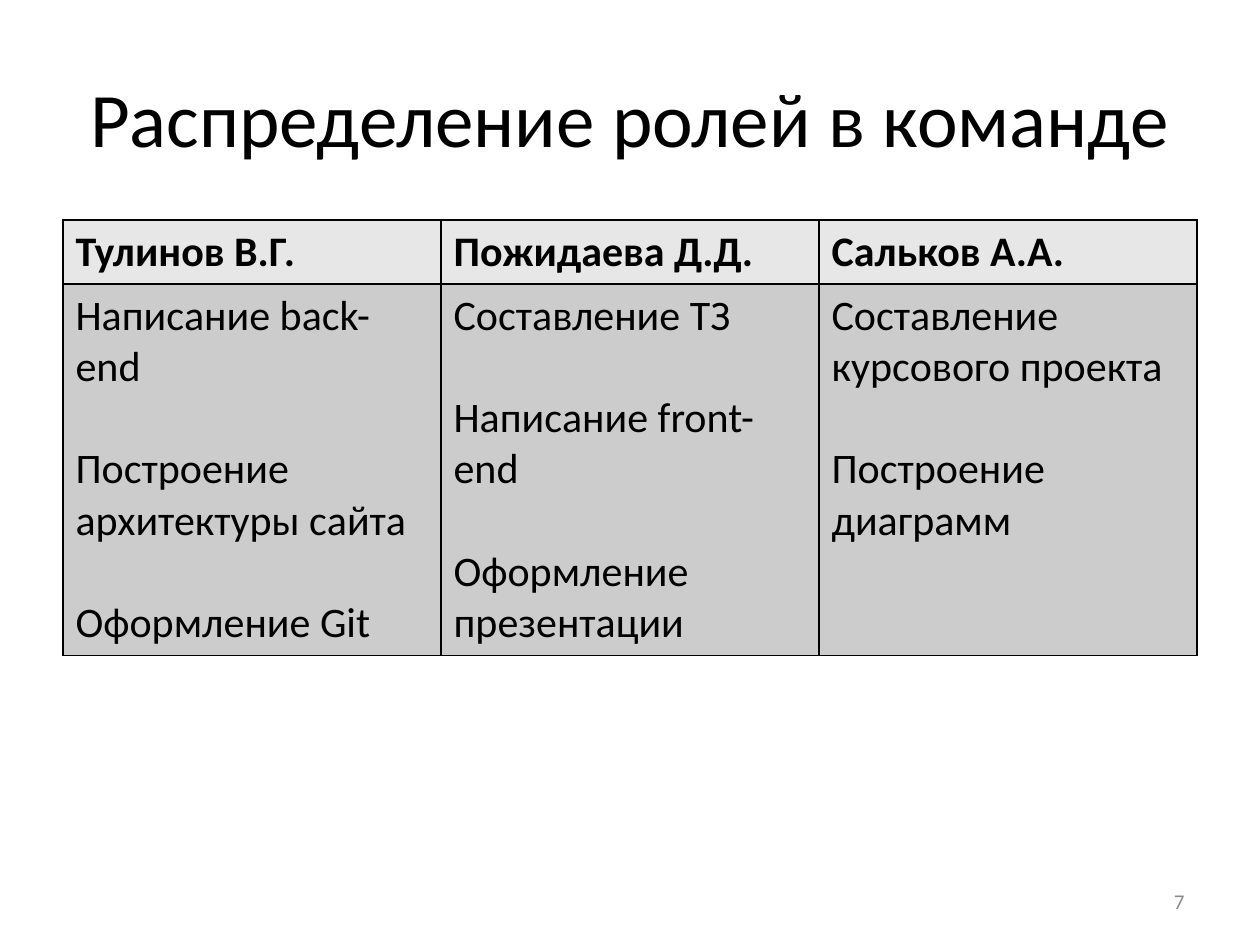
from lxml.etree import SubElement as Sub
from pptx import Presentation
from pptx.dml.color import RGBColor as RGB
from pptx.enum.text import MSO_ANCHOR as Anchor, PP_ALIGN as Align
from pptx.oxml.ns import qn
from pptx.util import Pt

PX = 914400 / 126  # EMU in one px
FONT = "Calibri"
COLORS = {"ink": "000000", "page": "8C8C8C", "head": "E7E7E7", "body": "CCCCCC"}
ROLES = {
    "Тулинов В.Г.": ["Написание back-end", "Построение архитектуры сайта",
                     "Оформление Git"],
    "Пожидаева Д.Д.": ["Составление ТЗ", "Написание front-end",
                       "Оформление презентации"],
    "Сальков А.А.": ["Составление курсового проекта", "Построение диаграмм"],
}


def emu(*sizes):
    return [round(n * PX) for n in sizes]


def write(frame, lines, size=24, bold=False, color="ink", align=Align.LEFT, gap=0):
    frame.word_wrap = True
    for i, line in enumerate(lines):
        par = frame.add_paragraph() if i else frame.paragraphs[0]
        par.alignment = align
        par.space_before = Pt(gap if i else 0)
        run = par.add_run()
        run.text = line
        font = run.font
        font.name, font.size, font.bold = FONT, Pt(size), bold
        font.color.rgb = RGB.from_string(COLORS[color])


def border(cell):
    props = cell._tc.get_or_add_tcPr()
    for i, side in enumerate(("lnL", "lnR", "lnT", "lnB")):
        line = Sub(props, qn(f"a:{side}"), w=str(Pt(1)))
        fill = Sub(line, qn("a:solidFill"))
        Sub(fill, qn("a:srgbClr"), val=COLORS["ink"])
        props.remove(line)
        props.insert(i, line)  # borders come before the fill


def add_title(slide, box, text):
    title = slide.shapes.title
    title.left, title.top, title.width, title.height = emu(*box)
    title.text_frame.vertical_anchor = Anchor.MIDDLE
    write(title.text_frame, [text], size=44, align=Align.CENTER)


def add_roles(slide, box, head):
    x, y, wide, high = box
    table = slide.shapes.add_table(2, len(ROLES), *emu(*box)).table
    for row, size in zip(table.rows, emu(head, high - head)):
        row.height = size
    for col, (name, tasks) in enumerate(ROLES.items()):
        table.columns[col].width = emu(wide / len(ROLES))[0]
        for row, (lines, fill) in enumerate((([name], "head"), (tasks, "body"))):
            cell = table.cell(row, col)
            cell.fill.solid()
            cell.fill.fore_color.rgb = RGB.from_string(COLORS[fill])
            border(cell)
            write(cell.text_frame, lines, bold=row == 0, gap=29.3)


def add_page(slide, box, text):
    frame = slide.shapes.add_textbox(*emu(*box)).text_frame
    frame.vertical_anchor = Anchor.MIDDLE
    write(frame, [text], size=12, color="page", align=Align.RIGHT)


def main():
    deck = Presentation()
    deck.slide_width, deck.slide_height = emu(1260, 945)
    slide = deck.slides.add_slide(deck.slide_layouts[5])
    add_title(slide, (63, 38, 1134, 158), "Распределение ролей в команде")
    add_roles(slide, (63, 220, 1134, 435), head=64)
    add_page(slide, (903, 876, 294, 50), "7")
    deck.save("out.pptx")


if __name__ == "__main__":
    main()
